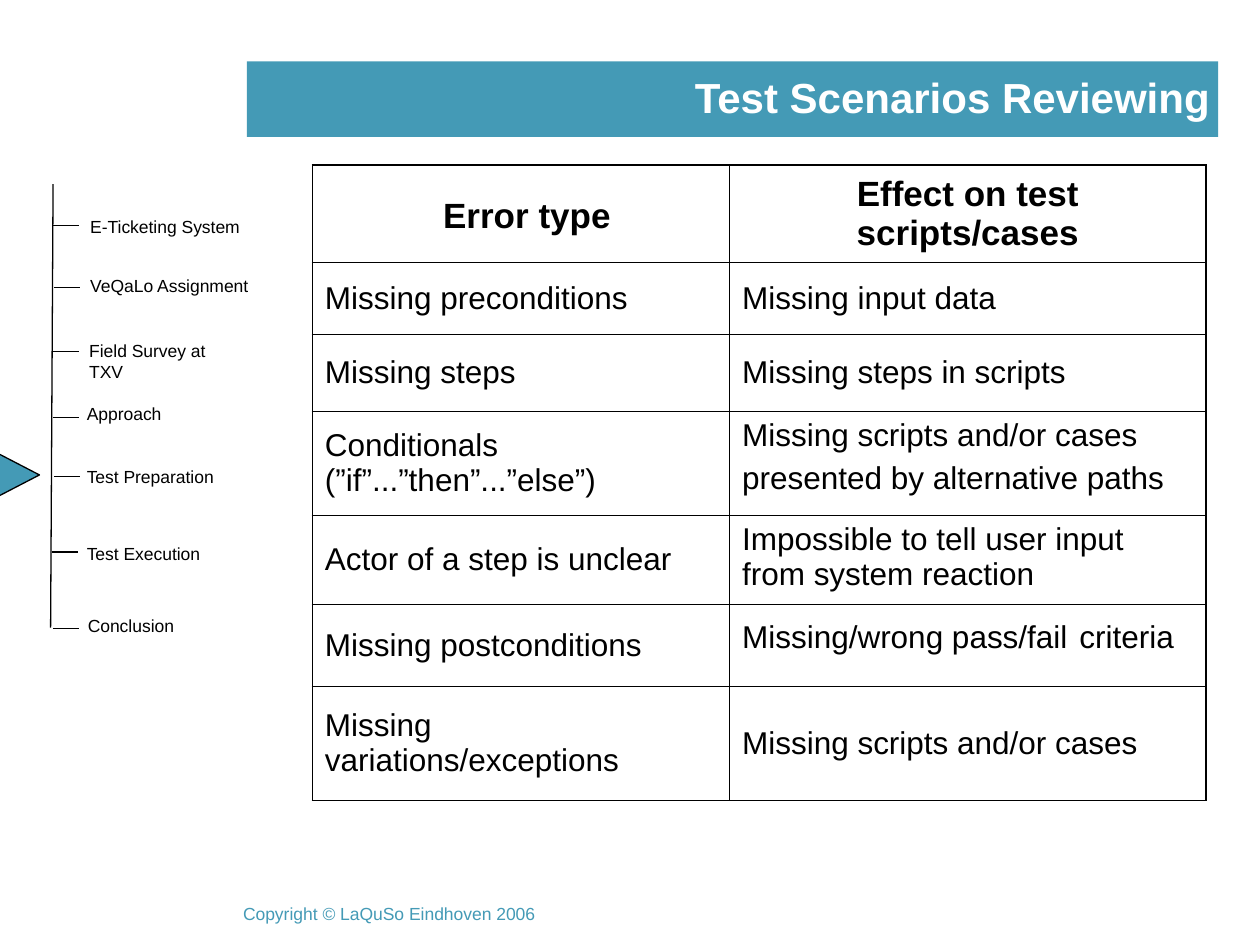
from typing import NamedTuple

from lxml.etree import SubElement
from pptx import Presentation
from pptx.dml.color import RGBColor
from pptx.enum.shapes import MSO_CONNECTOR, MSO_SHAPE
from pptx.enum.text import MSO_ANCHOR, MSO_AUTO_SIZE, PP_ALIGN
from pptx.oxml.ns import qn
from pptx.util import Cm, Pt

BLUE, BLACK, WHITE = "449AB6", "000000", "FFFFFF"
THIN, THICK = 0.45, 1.08


class Step(NamedTuple):
    text: str
    left: float
    top: float
    width: float
    tick_x: float
    tick_y: float


class Run(NamedTuple):
    text: str
    size: float


class Entry(NamedTuple):
    lines: list[list[Run]]
    mid: bool = True
    head: bool = False


def plain(*lines: str, mid: bool = True) -> Entry:
    return Entry([[Run(line, 18)] for line in lines], mid)


STEPS = [
    Step("E-Ticketing System", 1.57, 4.22, 3.63, 1.07, 4.55),
    Step("VeQaLo Assignment", 1.57, 5.41, 3.73, 1.09, 5.79),
    Step("Field Survey at TXV", 1.55, 6.73, 3.58, 1.07, 7.09),
    Step("Approach", 1.5, 8, 2.01, 1.07, 8.41),
    Step("Test Preparation", 1.5, 9.27, 3.1, 1.09, 9.6),
    Step("Test Execution", 1.5, 10.82, 2.82, 1.04, 11.13),
    Step("Conclusion", 1.52, 12.27, 2.24, 1.07, 12.67),
]

COLS = [8.41, 9.6]
ROWS = [1.82, 1.45, 1.55, 2.11, 1.75, 1.65, 2.31]
GRID = [
    [Entry([[Run(" ", 24), Run("Error type", 20)]], head=True),
     Entry([[Run("Effect on test scripts/cases", 20)]], head=True)],
    [plain("Missing preconditions"), plain("Missing input data")],
    [plain("Missing steps"), plain("Missing steps in scripts")],
    [plain("Conditionals (”if”...”then”...”else”)"),
     plain("Missing scripts and/or cases", "presented by alternative paths", mid=False)],
    [plain("Actor of a step is unclear"),
     plain("Impossible to tell user input from system reaction", mid=False)],
    [plain("Missing postconditions"),
     Entry([[Run("Missing/wrong pass/fail", 18), Run(" ", 24), Run("criteria", 18)]], mid=False)],
    [plain("Missing variations/exceptions"), plain("Missing scripts and/or cases")],
]


def paint(part, shade: str) -> None:
    part.solid()
    part.fore_color.rgb = RGBColor.from_string(shade)


def style(para, size: float | None, shade: str, bold: bool = False) -> None:
    para.font.name = "Arial"
    para.font.bold = bold
    if size:
        para.font.size = Pt(size)
    paint(para.font.fill, shade)


def pad(frame, side: float, top: float) -> None:
    frame.margin_left = frame.margin_right = Cm(side)
    frame.margin_top = frame.margin_bottom = Cm(top)


def add_line(slide, x1: float, y1: float, x2: float, y2: float) -> None:
    line = slide.shapes.add_connector(MSO_CONNECTOR.STRAIGHT, Cm(x1), Cm(y1), Cm(x2), Cm(y2))
    line.line.width = Pt(0.75)
    paint(line.line.fill, BLACK)
    SubElement(line.element.spPr, qn("a:effectLst"))


def add_shape(slide, kind, left: float, top: float, width: float, height: float):
    shape = slide.shapes.add_shape(kind, Cm(left), Cm(top), Cm(width), Cm(height))
    shape.shadow.inherit = False
    paint(shape.fill, BLUE)
    return shape


def add_text(slide, text: str, left: float, top: float, width: float, height: float, shade: str):
    frame = slide.shapes.add_textbox(Cm(left), Cm(top), Cm(width), Cm(height)).text_frame
    frame.auto_size = MSO_AUTO_SIZE.SHAPE_TO_FIT_TEXT
    frame.text = text
    style(frame.paragraphs[0], 10, shade)
    return frame


def add_title(slide) -> None:
    title = slide.shapes.title
    title.left, title.top, title.width, title.height = Cm(11.46), Cm(1.42), Cm(12.93), Cm(1.07)
    frame = title.text_frame
    frame.text = "Test Scenarios Reviewing"
    frame.vertical_anchor = MSO_ANCHOR.MIDDLE
    frame.auto_size = MSO_AUTO_SIZE.NONE
    pad(frame, 0, 0)
    frame.paragraphs[0].alignment = PP_ALIGN.RIGHT
    style(frame.paragraphs[0], 24, WHITE, True)
    bar = add_shape(slide, MSO_SHAPE.RECTANGLE, 4.98, 1.24, 19.58, 1.52)
    bar.line.fill.background()
    title.element.addprevious(bar.element)


def add_steps(slide) -> None:
    add_line(slide, 1.07, 3.71, 1.02, 12.65)
    for step in STEPS:
        add_line(slide, step.tick_x, step.tick_y, step.tick_x + 0.53, step.tick_y)
        frame = add_text(slide, step.text, step.left, step.top, step.width, 0.69, BLACK)
        frame.word_wrap = False
    mark = add_shape(slide, MSO_SHAPE.ISOSCELES_TRIANGLE, -0.03, 9.17, 0.84, 0.81)
    mark.rotation = 90
    mark.line.width = Pt(0.75)
    paint(mark.line.fill, BLACK)


def add_edge(cell, side: str, width: float) -> None:
    edge = SubElement(cell._tc.get_or_add_tcPr(), qn(f"a:ln{side}"), w=str(Pt(width)))
    fill = SubElement(edge, qn("a:solidFill"))
    SubElement(fill, qn("a:srgbClr"), val=BLACK)


def fill_cell(cell, entry: Entry) -> None:
    cell.fill.background()
    cell.vertical_anchor = MSO_ANCHOR.MIDDLE if entry.mid else MSO_ANCHOR.TOP
    pad(cell, 0.25, 0.13)
    frame = cell.text_frame
    for at, line in enumerate(entry.lines):
        para = frame.add_paragraph() if at else frame.paragraphs[0]
        if at:
            para.space_before = Pt(4.5)
        para.alignment = PP_ALIGN.CENTER if entry.head else PP_ALIGN.LEFT
        style(para, line[0].size if len(line) == 1 else None, BLACK, entry.head)
        for part in line:
            run = para.add_run()
            run.text = part.text
            if len(line) > 1:
                run.font.size = Pt(part.size)


def add_grid(slide) -> None:
    table = slide.shapes.add_table(
        len(ROWS), len(COLS), Cm(6.3), Cm(3.33), Cm(sum(COLS)), Cm(sum(ROWS))).table
    table.first_row = table.horz_banding = False
    for col, width in zip(table.columns, COLS):
        col.width = Cm(width)
    for y, (row, height) in enumerate(zip(table.rows, ROWS)):
        row.height = Cm(height)
        for x, cell in enumerate(row.cells):
            rims = {"L": x == 0, "R": x == len(COLS) - 1, "T": y == 0, "B": y == len(ROWS) - 1}
            for side, rim in rims.items():
                add_edge(cell, side, THICK if rim else THIN)
            fill_cell(cell, GRID[y][x])


def main() -> None:
    deck = Presentation()
    deck.slide_width, deck.slide_height = Cm(25.4), Cm(19.05)
    slide = deck.slides.add_slide(deck.slide_layouts[5])
    add_title(slide)
    foot = add_text(slide, "Copyright © LaQuSo Eindhoven 2006", 4.9, 18.21, 6.63, 0.43, BLUE)
    foot.word_wrap = True
    pad(foot, 0, 0)
    add_steps(slide)
    add_grid(slide)
    deck.save("out.pptx")


if __name__ == "__main__":
    main()
